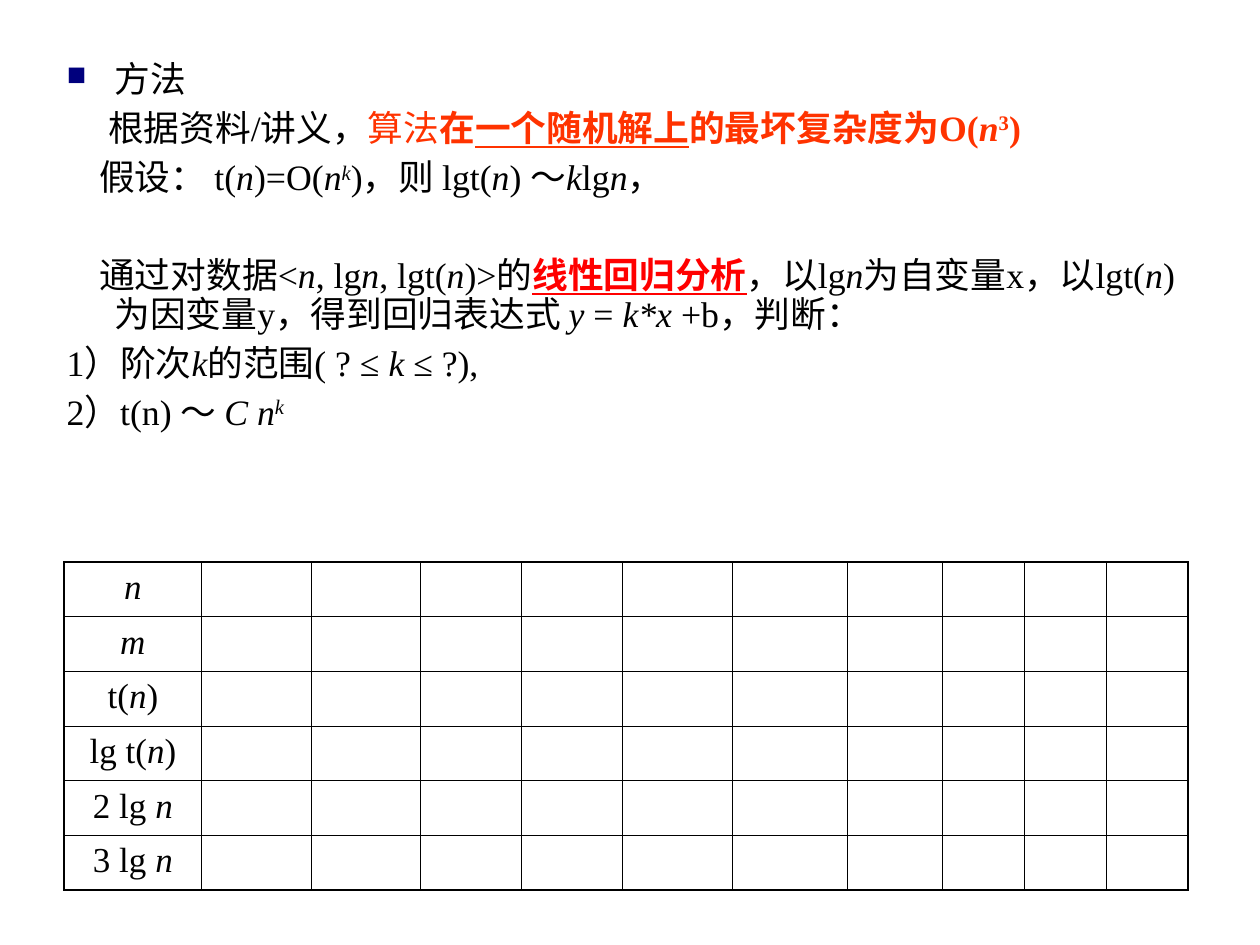
from lxml.etree import SubElement
from pptx import Presentation
from pptx.dml.color import RGBColor
from pptx.enum.text import MSO_ANCHOR as Anchor, PP_ALIGN as Align
from pptx.oxml.ns import qn
from pptx.util import Inches, Pt

FONT = "Times New Roman"
BLACK = RGBColor(0x00, 0x00, 0x00)
ORANGE = RGBColor(0xFF, 0x33, 0x00)
RED = RGBColor(0xFF, 0x00, 0x00)
NAVY = RGBColor(0x00, 0x00, 0x7D)

# Run formats
PLAIN = {}
ITALIC = {"italic": True}
POWER = {"italic": True, "baseline": 30}
CLAIM = {"color": ORANGE}
STRONG = CLAIM | {"bold": True}
KEY = {"color": RED, "bold": True, "underline": True}

# Each line of the method: first-line indent, space before, runs
METHOD = [
    (-0.38, 0, [("方法", PLAIN)]),
    (-0.05, 6, [
        ("根据资料/讲义，", PLAIN), ("算法", CLAIM), ("在", STRONG),
        ("一个随机解上", STRONG | {"underline": True}),
        ("的最坏复杂度为O(", STRONG), ("n", STRONG | ITALIC),
        ("3", STRONG | {"baseline": 30}), (")", STRONG)]),
    (-0.12, 6, [
        ("假设： t(", PLAIN), ("n", ITALIC), (")=O(", PLAIN), ("n", ITALIC),
        ("k", POWER), (")，则 lgt(", PLAIN), ("n", ITALIC), (") ～", PLAIN),
        ("k", ITALIC), ("lg", PLAIN), ("n", ITALIC), ("，", PLAIN)]),
    (-0.12, 34, [
        ("通过对数据<", PLAIN), ("n", ITALIC), (", lg", PLAIN), ("n", ITALIC),
        (", lgt(", PLAIN), ("n", ITALIC), (")>的", PLAIN),
        ("线性回归分析", KEY), ("，以lg", PLAIN), ("n", ITALIC),
        ("为自变量x，以lgt(", PLAIN), ("n", ITALIC),
        (")为因变量y，得到回归表达式 ", PLAIN), ("y ", ITALIC), ("= ", PLAIN),
        ("k*x", ITALIC), (" +b，判断：", PLAIN)]),
    (-0.38, 6, [
        ("1）阶次", PLAIN), ("k", ITALIC), ("的范围( ? ≤ ", PLAIN),
        ("k", ITALIC), (" ≤ ?),", PLAIN)]),
    (-0.38, 6, [("2）t(n) ～ ", PLAIN), ("C n", ITALIC), ("k", POWER)]),
]

ROW_LABELS = [
    [("n", ITALIC)],
    [("m", ITALIC)],
    [("t(", PLAIN), ("n", ITALIC), (")", PLAIN)],
    [("lg t(", PLAIN), ("n", ITALIC), (")", PLAIN)],
    [("2 lg ", PLAIN), ("n", ITALIC)],
    [("3 lg ", PLAIN), ("n", ITALIC)],
]
COLUMN_WIDTHS = [1.09, 0.87, 0.87, 0.8, 0.8, 0.87, 0.92, 0.75, 0.65, 0.65, 0.65]
ROW_HEIGHT = 0.43
THIN, THICK = 0.45, 1.08


def add_runs(paragraph, runs, size):
    for text, style in runs:
        run = paragraph.add_run()
        run.text = text
        values = {"name": FONT, "size": Pt(size)} | style
        run.font.color.rgb = values.pop("color", BLACK)
        baseline = values.pop("baseline", None)
        for name, value in values.items():
            setattr(run.font, name, value)
        if baseline:
            run.font._element.set("baseline", str(baseline * 1000))


def add_bullet(paragraph):
    properties = paragraph._p.get_or_add_pPr()
    color = SubElement(properties, qn("a:buClr"))
    SubElement(color, qn("a:srgbClr"), val=str(NAVY))
    SubElement(properties, qn("a:buSzPct"), val="75000")
    SubElement(properties, qn("a:buChar"), char="■")


def add_method(slide):
    box = slide.shapes.add_textbox(
        Inches(0.43), Inches(0.44), Inches(9.21), Inches(3.39))
    frame = box.text_frame
    frame.word_wrap = True
    for index, (indent, space, runs) in enumerate(METHOD):
        paragraph = frame.paragraphs[0] if index == 0 else frame.add_paragraph()
        paragraph.line_spacing = 0.9
        paragraph.space_before = Pt(space)
        properties = paragraph._p.get_or_add_pPr()
        properties.set("marL", str(Inches(0.38)))
        properties.set("indent", str(Inches(indent)))
        if index == 0:
            add_bullet(paragraph)
        add_runs(paragraph, runs, 20.4)


def set_borders(cell, widths):
    properties = cell._tc.get_or_add_tcPr()
    for side, width in widths.items():
        line = SubElement(properties, qn(f"a:ln{side}"), w=str(Pt(width)))
        fill = SubElement(line, qn("a:solidFill"))
        SubElement(fill, qn("a:srgbClr"), val=str(BLACK))


def add_data_table(slide):
    row_count, column_count = len(ROW_LABELS), len(COLUMN_WIDTHS)
    table = slide.shapes.add_table(
        row_count, column_count, Inches(0.51), Inches(4.46),
        Inches(sum(COLUMN_WIDTHS)), Inches(ROW_HEIGHT * row_count)).table
    table.first_row = table.horz_banding = False
    for column, width in zip(table.columns, COLUMN_WIDTHS):
        column.width = Inches(width)
    for row_index, row in enumerate(table.rows):
        row.height = Inches(ROW_HEIGHT)
        for column_index, cell in enumerate(row.cells):
            # Thick lines run round the outside only
            outer = {
                "L": column_index == 0,
                "R": column_index == column_count - 1,
                "T": row_index == 0,
                "B": row_index == row_count - 1,
            }
            set_borders(cell, {side: THICK if edge else THIN
                               for side, edge in outer.items()})
            cell.fill.background()
        label = row.cells[0]
        label.vertical_anchor = Anchor.TOP
        paragraph = label.text_frame.paragraphs[0]
        paragraph.alignment = Align.CENTER
        add_runs(paragraph, ROW_LABELS[row_index], 20)


def main():
    presentation = Presentation()
    presentation.slide_width = Inches(10)
    presentation.slide_height = Inches(7.5)
    slide = presentation.slides.add_slide(presentation.slide_layouts[6])
    add_method(slide)
    add_data_table(slide)
    presentation.save("out.pptx")


if __name__ == "__main__":
    main()
